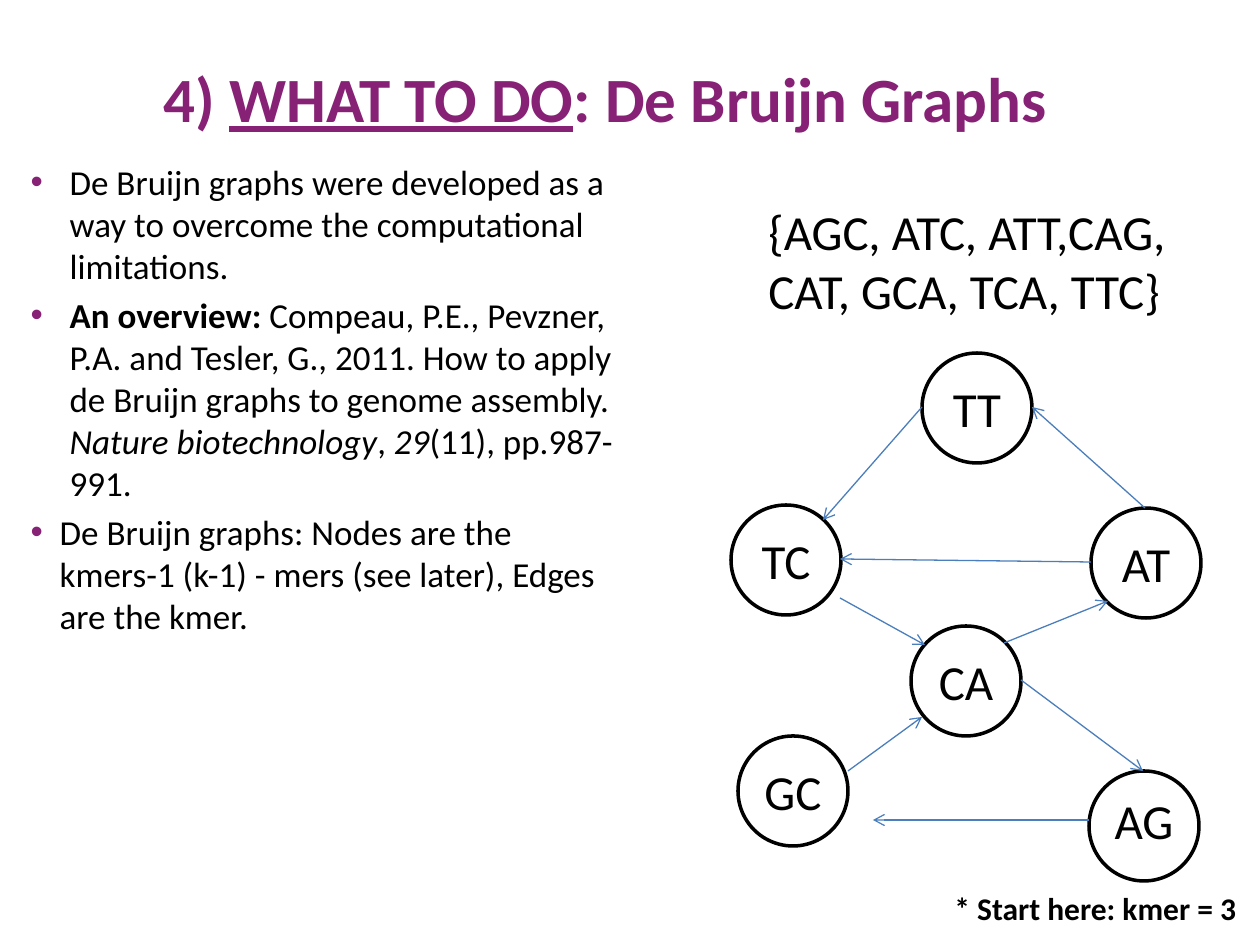
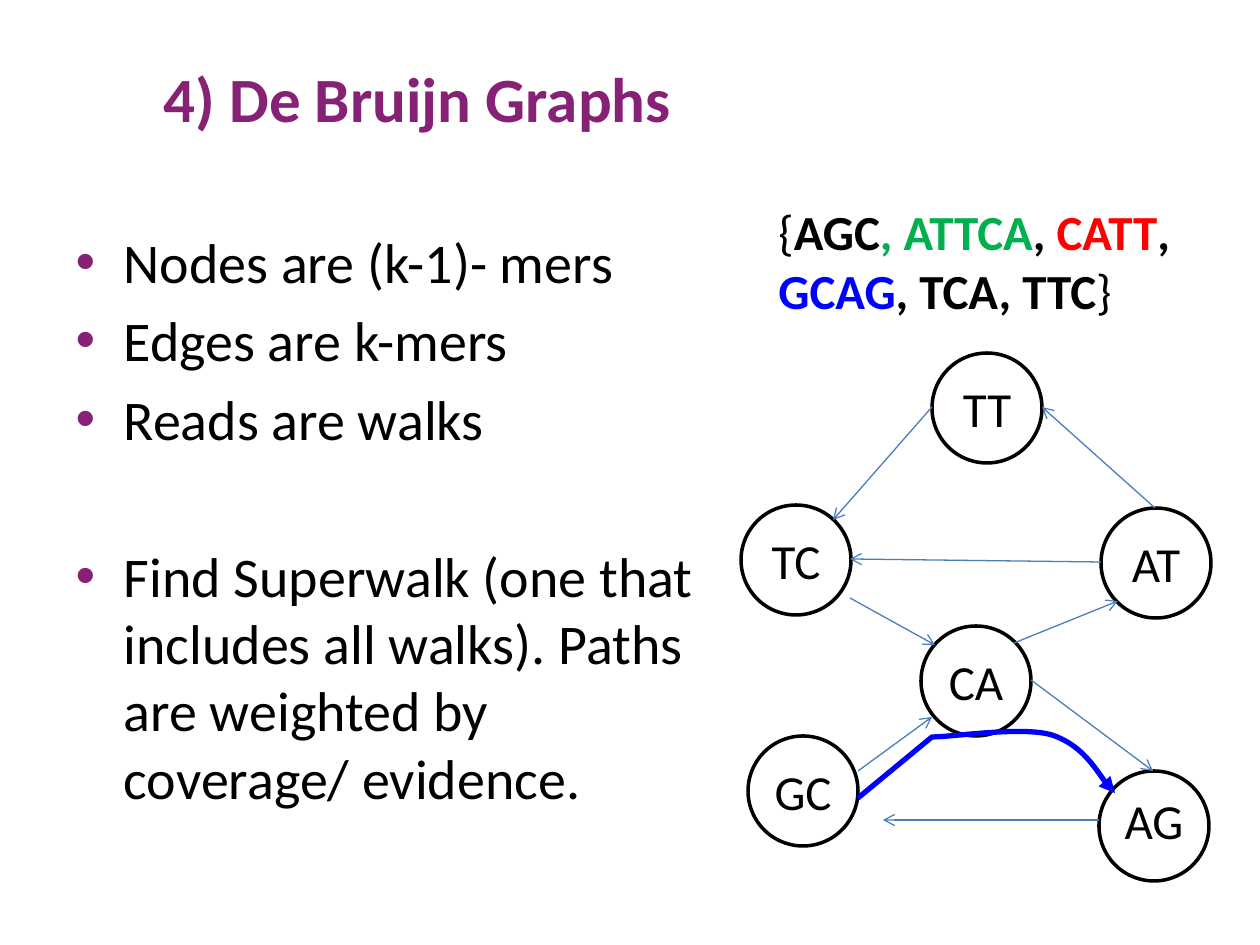
"""Builds two slides on De Bruijn graphs."""
from lxml import etree
from pptx import Presentation
from pptx import util as u
from pptx.dml.color import RGBColor
from pptx.enum import shapes, text
from pptx.oxml import ns

PX = 914400 / 126
FONT = "Calibri"
COLOURS = {
    "plum": "872175", "black": "000000", "edge": "4B7EBC",
    "green": "00B050", "red": "FF0000", "blue": "0000FF",
}
TITLE_BOX = (151, 53, 1094, 89)
NODE_SIZE = 110
NODES = {
    "TT": (191, 0), "AT": (360, 155), "TC": (0, 152),
    "CA": (180, 273), "GC": (7, 383), "AG": (358, 418),
}
LABEL_LIFT = {"AG": 12}
EDGES = [
    ((191, 54), (92, 167)),
    ((358, 467), (142, 467)),
    ((360, 209), (109, 206)),
    ((414, 155), (301, 54)),
    ((290, 327), (412, 418)),
    ((273, 290), (377, 248)),
    ((117, 418), (191, 364)),
    ((109, 245), (194, 292)),
]
WALK_START = (117, 445)
WALK_BEND = (191, 384)
WALK_CURVES = [
    [(212, 384), (281, 373), (311, 382)],
    [(341, 392), (372, 440), (372, 440)],
]
WALK_END = (374, 440)


def px(*lengths):
    """Turn px lengths into EMU."""
    return [u.Emu(round(length * PX)) for length in lengths]


def colour(name):
    """Return a named colour."""
    return RGBColor.from_string(COLOURS[name])


def place(shape, box):
    """Move and size a shape to a px box."""
    shape.left, shape.top, shape.width, shape.height = px(*box)


def write(para, spans, size, tint="black", bold=False):
    """Fill a paragraph with (text, style) spans."""
    for words, style in spans:
        span = para.add_run()
        span.text = words
        font = span.font
        font.name, font.size = FONT, u.Pt(size)
        font.bold = style.get("bold", bold)
        font.italic = style.get("italic")
        font.underline = style.get("underline")
        font.color.rgb = colour(style.get("tint", tint))


def add_title(page, spans):
    """Fill the title placeholder."""
    title = page.shapes.title
    place(title, TITLE_BOX)
    para = title.text_frame.paragraphs[0]
    para.alignment = text.PP_ALIGN.LEFT
    write(para, spans, 36, "plum", True)


def add_bullets(page, box, items, size):
    """Fill the body placeholder with (spans, indent px, space before pt) items."""
    body = page.placeholders[1]
    place(body, box)
    frame = body.text_frame
    frame.auto_size = text.MSO_AUTO_SIZE.NONE
    for index, (spans, indent, gap) in enumerate(items):
        para = frame.add_paragraph() if index else frame.paragraphs[0]
        props = para._p.get_or_add_pPr()
        props.set("marL", str(px(indent)[0]))
        props.set("indent", str(px(-indent)[0]))
        tint = etree.SubElement(props, ns.qn("a:buClr"))
        etree.SubElement(tint, ns.qn("a:srgbClr"), val=COLOURS["plum"])
        etree.SubElement(props, ns.qn("a:buChar"), char="•")
        para.space_before = u.Pt(gap)
        write(para, spans, size)


def add_label(page, box, spans, size, bold=False):
    """Add a wrapped text box."""
    frame = page.shapes.add_textbox(*px(*box)).text_frame
    frame.word_wrap = True
    write(frame.paragraphs[0], spans, size, bold=bold)


def draw_line(shape, tint, width, head):
    """Style a line that ends in an arrowhead."""
    shape.line.color.rgb = colour(tint)
    shape.line.width = u.Pt(width)
    etree.SubElement(shape.line._get_or_add_ln(), ns.qn("a:tailEnd"), type=head)


def add_node(page, name, left, top):
    """Add a named circle."""
    node = page.shapes.add_shape(
        shapes.MSO_SHAPE.OVAL, *px(left, top, NODE_SIZE, NODE_SIZE))
    node.shadow.inherit = False
    node.fill.background()
    node.line.color.rgb = colour("black")
    node.line.width = u.Pt(2)
    frame = node.text_frame
    frame.word_wrap = False
    frame.vertical_anchor = text.MSO_ANCHOR.MIDDLE
    frame.margin_left = frame.margin_right = frame.margin_top = 0
    frame.margin_bottom = px(LABEL_LIFT.get(name, 0))[0]
    para = frame.paragraphs[0]
    para.alignment = text.PP_ALIGN.CENTER
    write(para, [(name, {})], 28)


def add_graph(page, left, top):
    """Draw the nodes and directed edges from a top left corner."""
    for name, (x, y) in NODES.items():
        add_node(page, name, left + x, top + y)
    for (x1, y1), (x2, y2) in EDGES:
        edge = page.shapes.add_connector(
            shapes.MSO_CONNECTOR.STRAIGHT,
            *px(left + x1, top + y1, left + x2, top + y2))
        draw_line(edge, "edge", 0.75, "arrow")
        etree.SubElement(edge._element.spPr, ns.qn("a:effectLst"))


def add_walk(page, left, top):
    """Draw the curved walk through the graph."""
    builder = page.shapes.build_freeform(*WALK_START, scale=PX)
    bends = [point for curve in WALK_CURVES for point in curve]
    builder.add_line_segments([WALK_BEND, *bends, WALK_END], close=False)
    walk = builder.convert_to_shape(*px(left, top))
    segments = list(walk._element.iter(ns.qn("a:lnTo")))[1:-1]
    for first in range(0, len(segments), 3):
        curve = etree.Element(ns.qn("a:cubicBezTo"))
        segments[first].addprevious(curve)
        for segment in segments[first:first + 3]:
            curve.append(segment[0])
            segment.getparent().remove(segment)
    walk.shadow.inherit = False
    walk.fill.background()
    draw_line(walk, "blue", 3, "triangle")


def build_overview(page):
    """Build the slide that introduces the graphs."""
    add_title(page, [("4) ", {}), ("WHAT TO DO", {"underline": True}),
                     (": De Bruijn Graphs", {})])
    italic = {"italic": True}
    add_bullets(page, (18, 154, 620, 551), [
        ([("De Bruijn graphs were developed as a way to overcome "
           "the computational limitations.", {})], 39, 0),
        ([("An overview: ", {"bold": True}),
          ("Compeau, P.E., Pevzner, P.A. and Tesler, G., 2011. How to apply "
           "de Bruijn graphs to genome assembly. ", {}),
          ("Nature biotechnology", italic), (", ", {}), ("29", italic),
          ("(11), pp.987-991.", {})], 39, 4),
        ([("De Bruijn graphs: Nodes are the kmers-1 (k-1) - mers (see later), "
           "Edges are the kmer.", {})], 29, 4),
    ], 20)
    add_label(page, (756, 195, 508, 131),
              [("{AGC, ATC, ATT,CAG, CAT, GCA, TCA, TTC}", {})], 28)
    add_graph(page, 731, 353)
    add_label(page, (942, 883, 364, 50), [("* Start here: kmer = 3", {})], 18, True)


def build_walks(page):
    """Build the slide that shows reads as walks."""
    add_title(page, [("4) De Bruijn Graphs", {})])
    add_bullets(page, (63, 221, 646, 624), [
        ([("Nodes are (k-1)- mers", {})], 48, 0),
        ([("Edges are k-mers", {})], 48, 6.4),
        ([("Reads are walks", {})], 48, 6.4),
        ([("Find Superwalk (one that includes all walks). Paths are weighted "
           "by coverage/ evidence.", {})], 48, 51.5),
    ], 32)
    add_label(page, (766, 195, 508, 131), [
        ("{", {"bold": False}), ("AGC", {}), (", ATTCA", {"tint": "green"}),
        (", ", {}), ("CATT", {"tint": "red"}), (", ", {}),
        ("GCAG", {"tint": "blue"}), (", TCA, TTC", {}), ("}", {"bold": False}),
    ], 28, True)
    add_graph(page, 741, 353)
    add_walk(page, 741, 353)


def main():
    """Build and save the deck."""
    deck = Presentation()
    deck.slide_width, deck.slide_height = px(1260, 945)
    for build in (build_overview, build_walks):
        build(deck.slides.add_slide(deck.slide_layouts[1]))
    deck.save("out.pptx")


if __name__ == "__main__":
    main()
